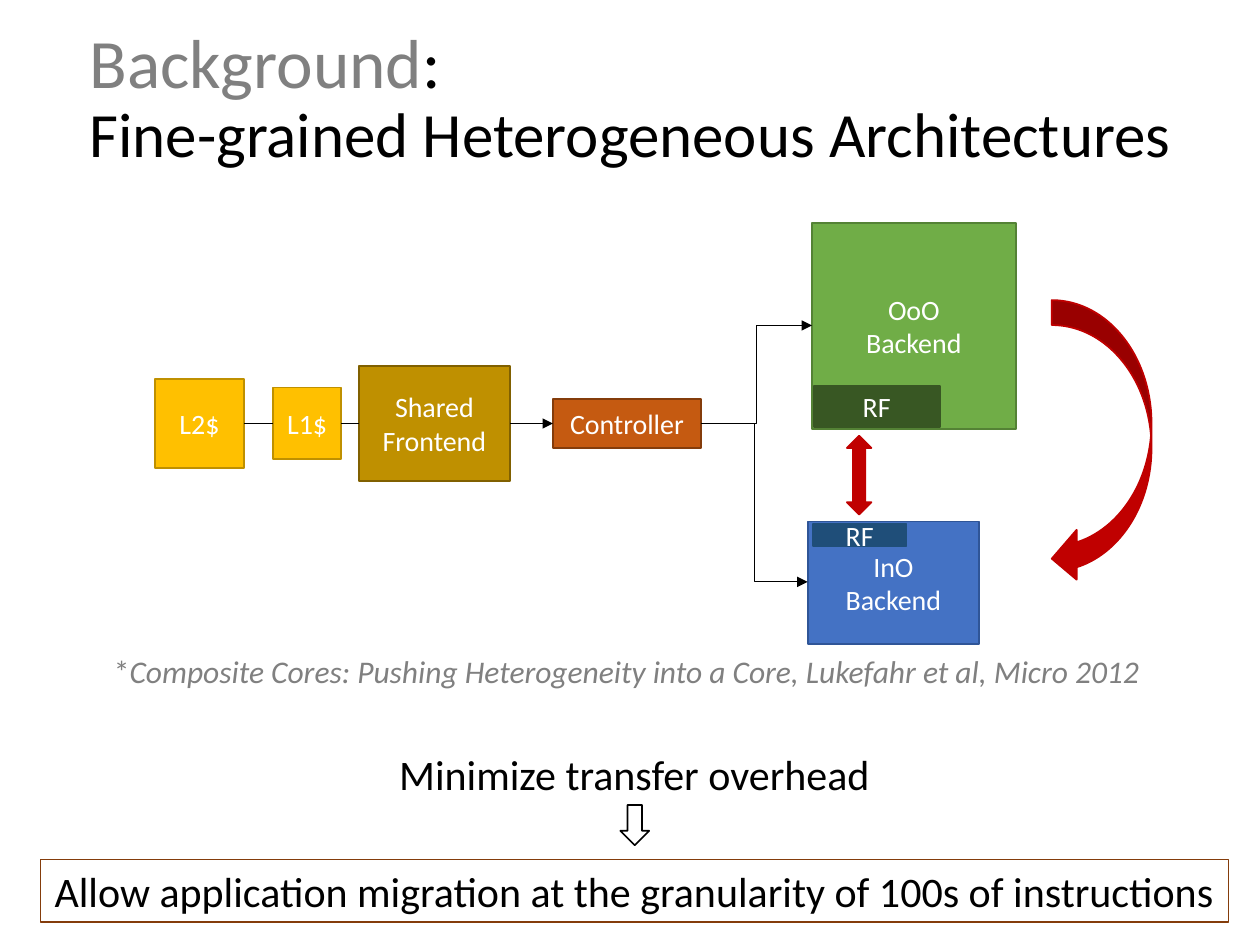
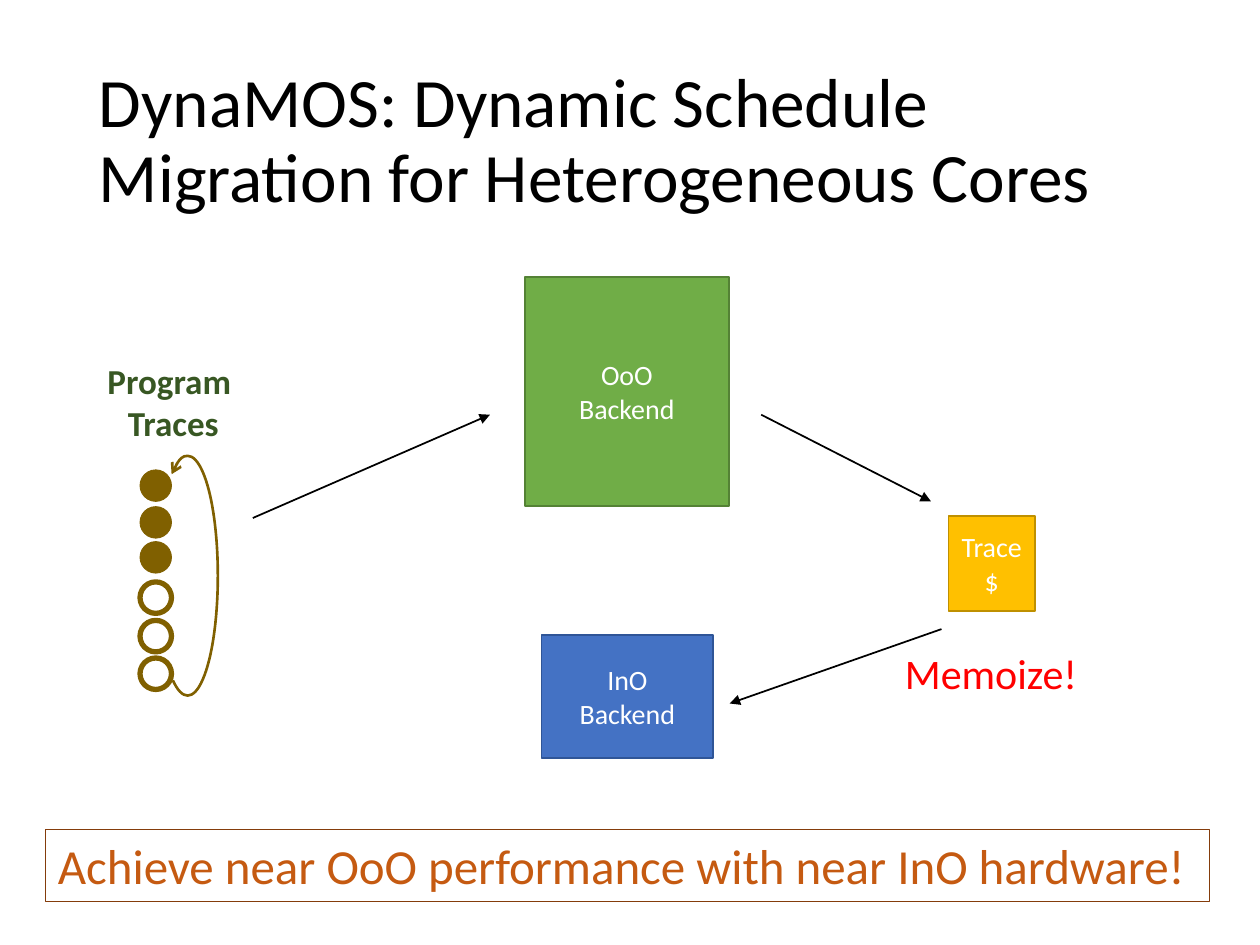
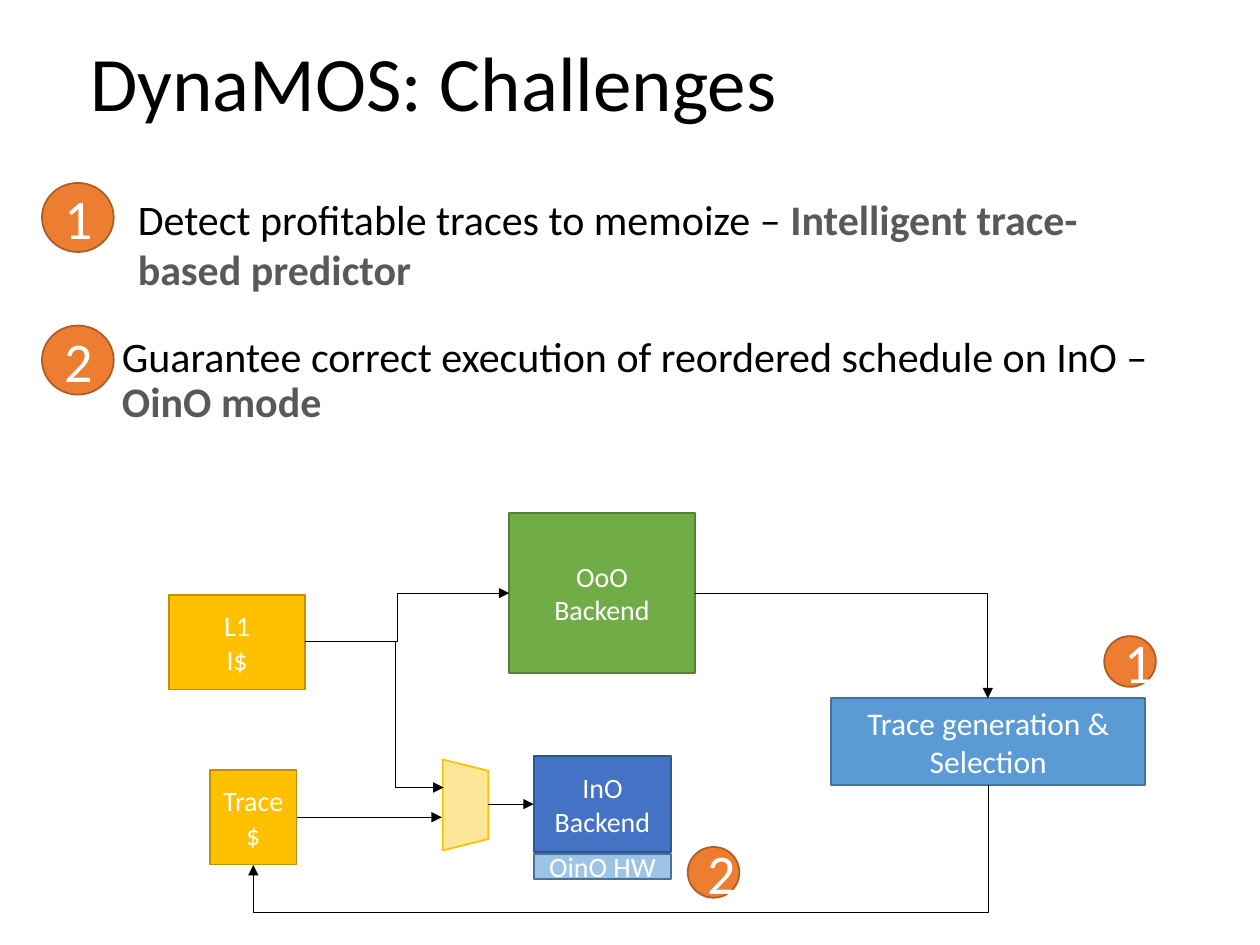
from lxml.etree import SubElement
from pptx import Presentation
from pptx.dml.color import RGBColor
from pptx.enum.shapes import MSO_CONNECTOR, MSO_SHAPE
from pptx.enum.text import MSO_ANCHOR, PP_ALIGN
from pptx.oxml.ns import qn
from pptx.util import Pt

BLACK = RGBColor(0x00, 0x00, 0x00)
WHITE = RGBColor(0xFF, 0xFF, 0xFF)
GRAY = RGBColor(0x80, 0x80, 0x80)
DARK_GRAY = RGBColor(0x59, 0x59, 0x59)
RED = RGBColor(0xFF, 0x00, 0x00)
DARK_RED = RGBColor(0xC0, 0x00, 0x00)
GREEN = RGBColor(0x70, 0xAD, 0x47)
GREEN_LINE = RGBColor(0x54, 0x82, 0x35)
DARK_GREEN = RGBColor(0x38, 0x57, 0x23)
BLUE = RGBColor(0x44, 0x72, 0xC4)
BLUE_LINE = RGBColor(0x2F, 0x55, 0x97)
NAVY = RGBColor(0x1F, 0x4E, 0x79)
SKY = RGBColor(0x5B, 0x9B, 0xD5)
SKY_LINE = RGBColor(0x43, 0x73, 0x9E)
PALE_BLUE = RGBColor(0x9D, 0xC3, 0xE6)
GOLD = RGBColor(0xFF, 0xC0, 0x00)
GOLD_LINE = RGBColor(0xBF, 0x90, 0x00)
PALE_GOLD = RGBColor(0xFF, 0xE6, 0x99)
BRONZE = RGBColor(0x80, 0x60, 0x00)
RUST = RGBColor(0xC5, 0x5A, 0x11)
BROWN = RGBColor(0x84, 0x3C, 0x0B)
ORANGE = RGBColor(0xED, 0x7D, 0x31)
ORANGE_LINE = RGBColor(0xAF, 0x5C, 0x24)

OOO = "OoO\nBackend"
INO = "InO\nBackend"
TRACE = "Trace\n$"
LEFT, RIGHT = 1, 3


def write(tf, text, size=16, color=WHITE, bold=False, align=PP_ALIGN.CENTER,
          anchor=MSO_ANCHOR.MIDDLE, spacing=None, before=0, wrap=True, indent=0):
    """Write a string, or paragraphs of (text, format) runs, into a text frame."""
    tf.word_wrap = wrap
    tf.vertical_anchor = anchor
    tf.margin_left = Pt(7.2 + indent)
    if isinstance(text, str):
        text = [[(line, {})] for line in text.split("\n")]
    for i, runs in enumerate(text):
        p = tf.paragraphs[0] if i == 0 else tf.add_paragraph()
        p.alignment = align
        p.space_before = Pt(before)
        if spacing:
            p.line_spacing = spacing
        for words, fmt in runs:
            r = p.add_run()
            r.text = words
            r.font.name = "Calibri"
            r.font.size = Pt(fmt.get("size", size))
            r.font.bold = fmt.get("bold", bold)
            r.font.italic = fmt.get("italic", False)
            r.font.color.rgb = fmt.get("color", color)


class Deck:
    """Hold the presentation, its style and the current slide."""

    def __init__(self):
        self.prs = Presentation()
        self.prs.slide_width, self.prs.slide_height = Pt(720), Pt(540)
        self.s = None

    def slide(self, title, x, y, w, h, size=39.6):
        """Start a slide with a title."""
        self.s = self.prs.slides.add_slide(self.prs.slide_layouts[6])
        self.text(title, x, y, w, h, size=size, spacing=0.9, anchor=MSO_ANCHOR.MIDDLE)

    def text(self, text, x, y, w, h, **fmt):
        """Add a text box, black and left-aligned unless told otherwise."""
        tf = self.s.shapes.add_textbox(Pt(x), Pt(y), Pt(w), Pt(h)).text_frame
        style = dict(color=BLACK, align=PP_ALIGN.LEFT, anchor=MSO_ANCHOR.TOP)
        write(tf, text, **{**style, **fmt})

    def shape(self, kind, x, y, w, h, fill=None, line=BLACK, width=1, text="", **fmt):
        """Add a preset shape, with text if any."""
        sp = self.s.shapes.add_shape(kind, Pt(x), Pt(y), Pt(w), Pt(h))
        sp.shadow.inherit = False
        if fill is None:
            sp.fill.background()
        else:
            sp.fill.solid()
            sp.fill.fore_color.rgb = fill
        sp.line.color.rgb = line
        sp.line.width = Pt(width)
        if text:
            write(sp.text_frame, text, **fmt)
        return sp

    def block(self, text, x, y, w, h, fill, line, **fmt):
        """Add a labelled hardware block."""
        return self.shape(MSO_SHAPE.RECTANGLE, x, y, w, h, fill, line, text=text, **fmt)

    def banner(self, text, x, y, w, h, **fmt):
        """Add the outlined conclusion at the foot of a slide."""
        self.shape(MSO_SHAPE.RECTANGLE, x, y, w, h, None, BROWN, 0.75, text,
                   anchor=MSO_ANCHOR.TOP, **fmt)

    def badge(self, number, x, y, w, h):
        """Add a numbered circle."""
        self.shape(MSO_SHAPE.OVAL, x, y, w, h, ORANGE, ORANGE_LINE, text=number, size=32)

    def arrowhead(self, sp, end="tailEnd", kind="triangle"):
        """Put an arrowhead on one end of a line."""
        SubElement(sp.line._get_or_add_ln(), qn("a:" + end), type=kind)

    def connector(self, begin, end, kind=MSO_CONNECTOR.STRAIGHT, width=0.5, arrow=True):
        """Add a connector between points or (shape, side) pairs."""
        points = [(0, 0) if hasattr(a, "shape_id") else (a, b) for a, b in (begin, end)]
        cxn = self.s.shapes.add_connector(kind, *[Pt(v) for point in points for v in point])
        if hasattr(begin[0], "shape_id"):
            cxn.begin_connect(*begin)
        if hasattr(end[0], "shape_id"):
            cxn.end_connect(*end)
        cxn.line.color.rgb = BLACK
        cxn.line.width = Pt(width)
        if arrow:
            self.arrowhead(cxn)
        SubElement(cxn._element.spPr, qn("a:effectLst"))
        return cxn

    def elbow(self, begin, end, bend=0.5, rotation=0, arrow=True):
        """Add a bent connector; a bend of None gives a single corner."""
        cxn = self.connector(begin, end, MSO_CONNECTOR.ELBOW, arrow=arrow)
        geom = cxn._element.spPr.find(qn("a:prstGeom"))
        if bend is None:
            geom.set("prst", "bentConnector2")
        else:
            guides = geom.find(qn("a:avLst"))
            if guides is None:
                guides = SubElement(geom, qn("a:avLst"))
            SubElement(guides, qn("a:gd"), name="adj1", fmla=f"val {round(bend * 100000)}")
        cxn.rotation = rotation


def background(d):
    """Draw the fine-grained architecture slide."""
    d.slide([[("Background", {"color": GRAY}), (":", {})],
             [("Fine-grained Heterogeneous Architectures", {"size": 36})]], 44, 12, 636, 90)
    d.shape(MSO_SHAPE.UP_DOWN_ARROW, 484, 249, 14, 45, DARK_RED, DARK_RED)
    d.text([[("*", {}),
             ("Composite Cores: Pushing Heterogeneity into a Core, Lukefahr et al, Micro 2012",
              {"italic": True})]], 58, 369, 648, 42.5, size=18, color=GRAY, before=3.6)
    d.block(OOO, 464, 127.5, 116.5, 117.5, GREEN, GREEN_LINE)
    d.block(INO, 461.5, 298, 98, 70, BLUE, BLUE_LINE)
    d.block("RF", 464.5, 299.5, 53.5, 12.5, NAVY, NAVY)
    d.block("RF", 465, 220.5, 72, 23.5, DARK_GREEN, DARK_GREEN)
    frontend = d.block("Shared Frontend", 205, 209, 86.5, 66, GOLD_LINE, BRONZE)
    l2 = d.block("L2$", 88.5, 216.5, 51, 51, GOLD, GOLD_LINE)
    l1 = d.block("L1$", 156, 221.5, 39, 41, GOLD, GOLD_LINE)
    controller = d.block("Controller", 316, 228, 84.5, 28, RUST, BROWN)
    d.connector((frontend, LEFT), (l1, RIGHT), arrow=False)
    d.connector((l1, LEFT), (l2, RIGHT), arrow=False)
    d.connector((frontend, RIGHT), (controller, LEFT))
    d.elbow((400.5, 242), (464, 186))
    d.elbow((400.5, 242), (461.5, 332.5))
    d.shape(MSO_SHAPE.CURVED_LEFT_ARROW, 601, 171.5, 57, 162, DARK_RED, DARK_RED)
    d.text("Minimize transfer overhead", 67, 424, 591, 36, size=24, align=PP_ALIGN.CENTER)
    d.shape(MSO_SHAPE.DOWN_ARROW, 354.5, 460, 16.5, 23, WHITE)
    d.banner("Allow application migration at the granularity of 100s of instructions",
             23, 491, 679, 36, size=24, color=BLACK)


def migration(d):
    """Draw the schedule migration slide."""
    d.slide("DynaMOS: Dynamic Schedule Migration for Heterogeneous Cores",
            49.5, 29, 620.5, 104.5)
    d.block(OOO, 300, 158.5, 116.5, 130.5, GREEN, GREEN_LINE)
    d.block(INO, 309.5, 363, 98, 70, BLUE, BLUE_LINE)
    d.block(TRACE, 542, 295, 49.5, 54, GOLD, GOLD_LINE)
    d.text("Program \nTraces", 54, 202, 90, 55.5, size=20, color=DARK_GREEN, bold=True,
           align=PP_ALIGN.CENTER, wrap=False)
    loop = d.shape(MSO_SHAPE.ARC, 90, 260.5, 34.5, 137, None, BRONZE, 1.5)
    for i, degrees in enumerate((261, 98)):
        loop.adjustments[i] = degrees * 0.6
    d.arrowhead(loop, "headEnd", "arrow")
    for y in (268.5, 289.5, 309.5):
        d.shape(MSO_SHAPE.OVAL, 80, y, 18, 18, BRONZE, BRONZE, 0.5)
    for y in (332.5, 354.5, 376):
        d.shape(MSO_SHAPE.OVAL, 80, y, 18, 18, None, BRONZE, 3)
    for begin, end in (((144.5, 296), (280, 237)),
                       ((435, 237), (532, 286.5)),
                       ((538, 359.5), (417, 402))):
        d.connector(begin, end, width=1)
    d.text("Memoize!", 510, 366.5, 114, 36, size=24, color=RED, wrap=False)
    d.banner("Achieve near OoO performance with near InO hardware!", 26, 474, 665, 41,
             size=28, color=RUST, align=PP_ALIGN.LEFT)


def challenges(d):
    """Draw the challenges slide."""
    d.slide("DynaMOS: Challenges", 44.5, 16.5, 620.5, 66, size=44)
    ino = d.block(INO, 305, 432, 78.5, 55, BLUE, BLUE_LINE)
    d.block(OOO, 291, 293, 106, 91.5, GREEN, GREEN_LINE)
    trace = d.block(TRACE, 120, 440, 49.5, 54, GOLD, GOLD_LINE)
    d.block("L1\nI$", 96.5, 340, 78, 54, GOLD, GOLD_LINE)
    mux = d.shape(MSO_SHAPE.TRAPEZOID, 240, 447, 52, 26, PALE_GOLD, GOLD)
    mux.rotation = 90
    d.connector((279, 459.5), (ino, LEFT))
    d.connector((trace, RIGHT), (252.5, 467))
    d.elbow((175.5, 366.5), (226, 450), bend=None, arrow=False)
    d.connector((226, 450), (253.5, 450))
    d.elbow((174.5, 366.5), (291, 339), bend=0.45)
    d.block("Trace generation & Selection", 475, 399, 179.5, 49.5, SKY, SKY_LINE, size=18)
    d.elbow((397, 339), (564.5, 399), bend=None)
    d.elbow((332, 261.5), (377.5, 681.5), bend=1.6, rotation=90)
    d.block("OinO HW", 305, 488, 78.5, 14.5, PALE_BLUE, SKY_LINE)
    answer = {"color": DARK_GRAY, "bold": True}
    d.text([[("Guarantee correct execution of reordered schedule on InO – ", {}),
             ("OinO mode", answer)]], 44.5, 188.5, 620.5, 67, size=24, spacing=0.9,
           before=10, indent=18)
    d.text([[("Detect profitable traces to memoize – ", {}),
             ("Intelligent trace-based predictor", answer)]], 44.5, 107, 619, 65.5,
           size=24, indent=27)
    d.badge("1", 24, 104.5, 41, 39.5)
    d.badge("2", 24, 186, 41, 39.5)
    d.badge("1", 631, 363.5, 29.5, 29)
    d.badge("2", 393, 484, 29.5, 29)


def main():
    """Build and save the deck."""
    d = Deck()
    background(d)
    migration(d)
    challenges(d)
    d.prs.save("out.pptx")


if __name__ == "__main__":
    main()
